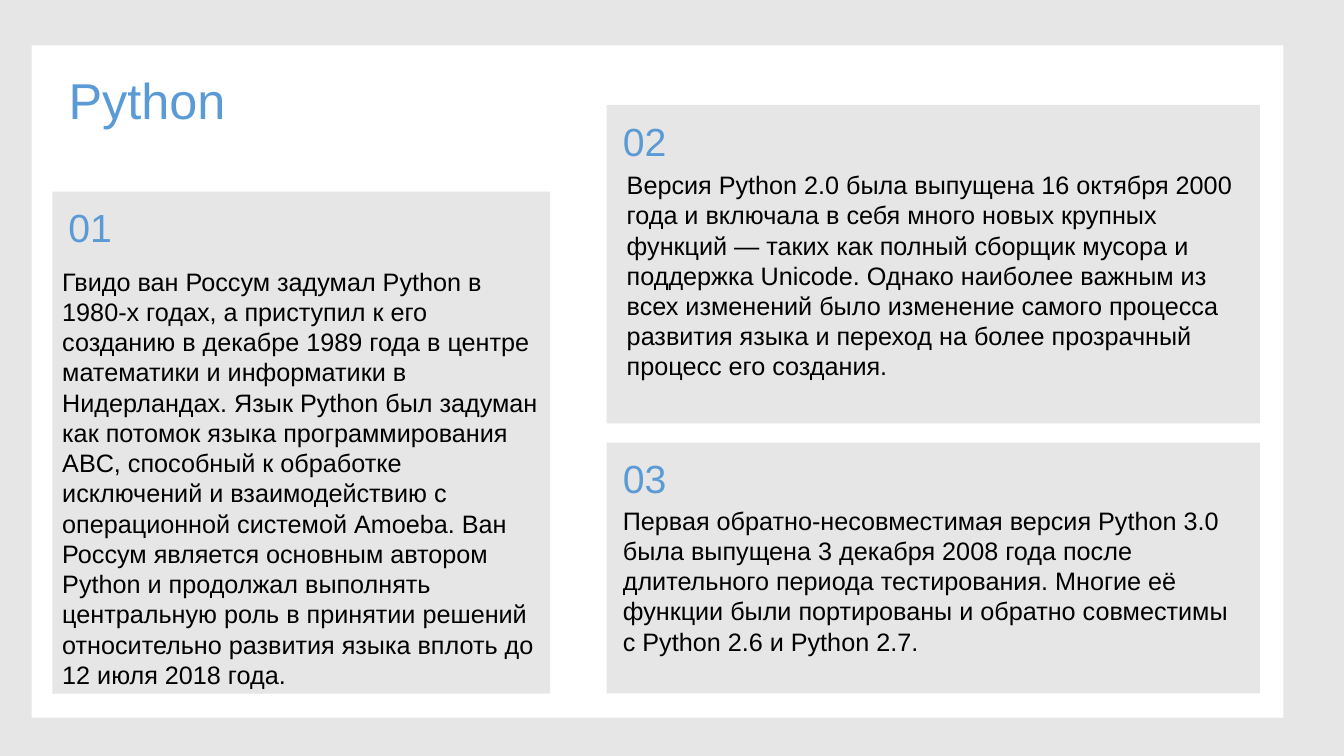
from pptx import Presentation
from pptx.dml.color import RGBColor
from pptx.enum.shapes import MSO_SHAPE
from pptx.enum.text import MSO_ANCHOR, MSO_AUTO_SIZE, PP_ALIGN
from pptx.util import Pt

COLORS = {"grey": "E7E6E6", "white": "FFFFFF", "blue": "5B9BD5", "black": "000000"}
FONT = "Arial"

# Each card: number, card frame, text frame (left, top, width, height in points), text
CARDS = [
    ("01", (37.4, 136.8, 355.7, 358.6), (37.4, 186.5, 355.7, 312.5),
     "Гвидо ван Россум задумал Python в 1980-х годах, а приступил к его "
     "созданию в декабре 1989 года в центре математики и информатики в "
     "Нидерландах. Язык Python был задуман как потомок языка "
     "программирования ABC, способный к обработке исключений и "
     "взаимодействию с операционной системой Amoeba. Ван Россум является "
     "основным автором Python и продолжал выполнять центральную роль в "
     "принятии решений относительно развития языка вплоть до 12 июля 2018 года."),
    ("02", (433.4, 74.9, 466.6, 227.5), (440.6, 117.4, 459.4, 159.8),
     "Версия Python 2.0 была выпущена 16 октября 2000 года и включала в "
     "себя много новых крупных функций — таких как полный сборщик мусора и "
     "поддержка Unicode. Однако наиболее важным из всех изменений было "
     "изменение самого процесса развития языка и переход на более "
     "прозрачный процесс его создания."),
    ("03", (433.4, 316.1, 466.6, 179.3), (437.8, 357.1, 452.2, 116.6),
     "Первая обратно-несовместимая версия Python 3.0 была выпущена "
     "3 декабря 2008 года после длительного периода тестирования. Многие её "
     "функции были портированы и обратно совместимы с Python 2.6 и Python 2.7."),
]


def rgb(name):
    return RGBColor.from_string(COLORS[name])


def points(frame):
    return [Pt(v) for v in frame]


def add_panel(slide, frame, color):
    sp = slide.shapes.add_shape(MSO_SHAPE.RECTANGLE, *points(frame))
    sp.shadow.inherit = False
    sp.fill.solid()
    sp.fill.fore_color.rgb = rgb(color)
    sp.line.fill.background()
    return sp


def fill_text(sp, text, size, color, wrap=False):
    tf = sp.text_frame
    tf.text = text
    tf.word_wrap = wrap
    tf.auto_size = MSO_AUTO_SIZE.SHAPE_TO_FIT_TEXT
    tf.vertical_anchor = MSO_ANCHOR.TOP
    p = tf.paragraphs[0]
    p.alignment = PP_ALIGN.LEFT
    r = p.runs[0]
    r.font.name = FONT
    r.font.size = Pt(size)
    r.font.color.rgb = rgb(color)
    return p


def add_title(slide, text, frame):
    title = slide.shapes.title
    title.left, title.top, title.width, title.height = points(frame)
    fill_text(title, text, 36, "blue")


def add_card(slide, number, frame, text_frame, text):
    left, top = frame[:2]
    add_panel(slide, frame, "grey")
    label = slide.shapes.add_textbox(*points((left + 4.4, top + 5, 46, 41)))
    fill_text(label, number, 28, "blue")
    body = slide.shapes.add_textbox(*points(text_frame))
    p = fill_text(body, text, 18, "black", wrap=True)
    p.space_after = Pt(6)


def main():
    prs = Presentation()
    prs.slide_width, prs.slide_height = Pt(960), Pt(540)
    slide = prs.slides.add_slide(prs.slide_layouts[5])
    slide.background.fill.solid()
    slide.background.fill.fore_color.rgb = rgb("grey")

    # White sheet, placed behind the title
    sheet = add_panel(slide, (22.5, 32.4, 894.2, 480.2), "white")
    slide.shapes.title._element.addprevious(sheet._element)
    add_title(slide, "Python", (41.8, 46, 127.4, 51))

    # Numbered cards
    for card in CARDS:
        add_card(slide, *card)

    prs.save("out.pptx")


if __name__ == "__main__":
    main()
